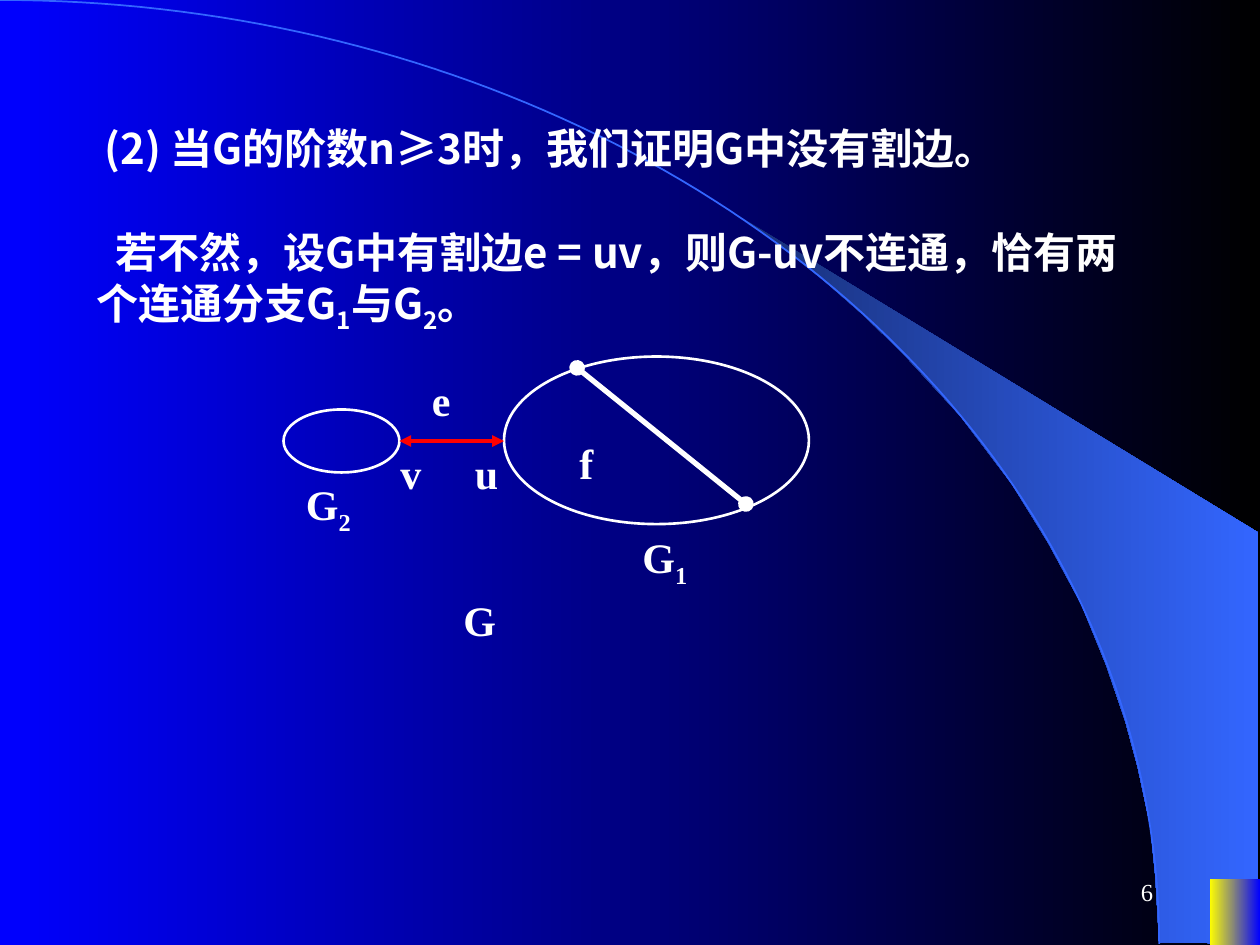
"""Builds a graph theory slide on cut edges with a sketch of two components."""
import math

from lxml import etree
from pptx import Presentation, util as u
from pptx.dml.color import RGBColor
from pptx.enum import shapes, text
from pptx.oxml.ns import qn

WHITE, BLUE = "FFFFFF", "3366FF"
LATIN, CHINESE = "Times New Roman", "Noto Sans CJK SC"


def color(code):
    return RGBColor.from_string(code)


class Board:
    """Holds the current slide and draws each kind of element in one style."""

    def __init__(self, slide):
        self.slide = slide

    def blend(self, fill, start, end):
        fill.gradient()
        fill.gradient_angle = 0
        for stop, code in zip(fill.gradient_stops, (start, end)):
            stop.color.rgb = color(code)

    def outline(self, line, code, width):
        line.color.rgb = color(code)
        line.width = u.Pt(width)

    def shape(self, kind, left, top, width, height):
        figure = self.slide.shapes.add_shape(kind, *map(u.Inches, (left, top, width, height)))
        figure.shadow.inherit = False
        return figure

    def ellipse(self, left, top, width, height):
        oval = self.shape(shapes.MSO_SHAPE.OVAL, left, top, width, height)
        oval.fill.background()
        self.outline(oval.line, WHITE, 1.5)

    def freeform(self, points, close):
        corners = [(u.Inches(x), u.Inches(y)) for x, y in points]
        builder = self.slide.shapes.build_freeform(*corners[0])
        builder.add_line_segments(corners[1:], close=close)
        figure = builder.convert_to_shape()
        figure.shadow.inherit = False
        return figure

    def edge(self, start, end, code, width, tip):
        edge = self.slide.shapes.add_connector(
            shapes.MSO_CONNECTOR.STRAIGHT, *map(u.Inches, (*start, *end)))
        self.outline(edge.line, code, width)
        for name in ("a:headEnd", "a:tailEnd"):
            etree.SubElement(edge.line._get_or_add_ln(), qn(name), type=tip)
        etree.SubElement(edge._element.spPr, qn("a:effectLst"))

    def words(self, parts, left, top, width, height=0.5, font=LATIN, size=24, bold=True):
        """Writes one paragraph in which every second part is a subscript."""
        box = self.slide.shapes.add_textbox(*map(u.Inches, (left, top, width, height)))
        frame = box.text_frame
        frame.word_wrap = True
        paragraph = frame.paragraphs[0]
        for index, part in enumerate(parts):
            run = paragraph.add_run()
            run.text = part
            run.font.name, run.font.size, run.font.bold = font, u.Pt(size), bold
            run.font.color.rgb = color(WHITE)
            properties = run.font._element
            etree.SubElement(properties, qn("a:ea"), typeface=font)
            if index % 2:
                properties.set("baseline", "-25000")
        return frame

    def statement(self, parts, left, top, height):
        frame = self.words(parts, left, top, 8.42, height, CHINESE)
        paragraph = frame.paragraphs[0]
        paragraph.space_before = u.Pt(15)
        properties = paragraph._p.get_or_add_pPr()
        properties.set("marL", "0")
        properties.set("indent", str(u.Inches(0.15)))


def main():
    deck = Presentation()
    deck.slide_width, deck.slide_height = u.Inches(10), u.Inches(7.5)
    board = Board(deck.slides.add_slide(deck.slide_layouts[6]))
    board.blend(board.slide.background.fill, "0000FF", "000000")

    beam = board.freeform([
        (9.2, 7.48), (9.99, 7.49), (9.99, 4.23), (5.89, 1.73), (6.24, 1.99), (6.53, 2.22),
        (6.85, 2.5), (7.16, 2.8), (7.62, 3.3), (8.03, 3.84), (8.32, 4.31), (8.58, 4.79),
        (8.78, 5.28), (8.93, 5.72), (9.03, 6.09), (9.13, 6.56), (9.17, 6.96)], True)
    board.blend(beam.fill, "182F76", BLUE)
    beam.line.fill.background()

    steps = 90
    angles = [math.pi / 2 * step / steps for step in range(steps + 1)]
    horizon = board.freeform(
        [(9.2 * math.sin(a), 7.49 * (1 - math.cos(a))) for a in angles], False)
    horizon.fill.background()
    board.outline(horizon.line, BLUE, 1)

    corner = board.shape(shapes.MSO_SHAPE.RECTANGLE, 9.6, 6.98, 0.4, 0.52)
    board.blend(corner.fill, "FFFF00", "0000FF")
    corner.line.fill.background()

    page = board.words(["6"], 7.17, 6.83, 2.08, size=14, bold=False)
    page.vertical_anchor = text.MSO_ANCHOR.MIDDLE
    page.paragraphs[0].alignment = text.PP_ALIGN.RIGHT

    board.statement(["(2) 当G的阶数n≥3时，我们证明G中没有割边。"], 0.58, 0.92, 0.5)
    board.statement(["若不然，设G中有割边e = uv，则G-uv不连通，恰有两个连通分支G",
                     "1", "与G", "2", "。"], 0.67, 1.75, 0.96)

    board.ellipse(2.25, 3.25, 0.92, 0.5)
    board.ellipse(4, 2.83, 2.42, 1.33)
    board.edge((3.17, 3.5), (4, 3.5), "FF0000", 2.25, "triangle")
    board.edge((4.58, 2.92), (5.92, 4), WHITE, 3, "oval")

    for name, left, top in (("u", 3.67, 3.5), ("v", 3.08, 3.5),
                            ("e", 3.33, 2.92), ("f", 4.5, 3.42)):
        board.words([name], left, top, 0.52)
    for parts, left, top, height in ((("G", "1"), 5, 4.17, 0.56),
                                     (("G", "2"), 2.33, 3.75, 0.56),
                                     (("G",), 3.58, 4.67, 0.5)):
        board.words(parts, left, top, 0.67, height)

    deck.save("out.pptx")


if __name__ == "__main__":
    main()
